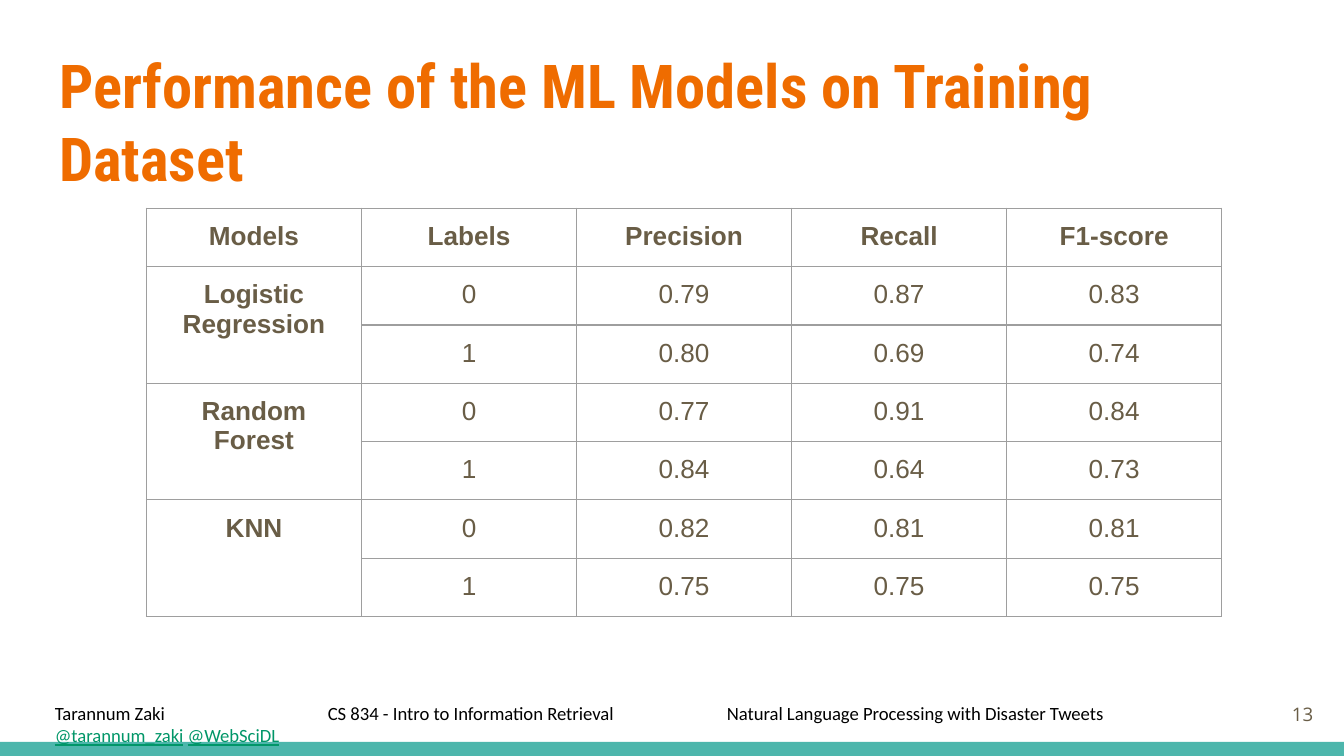
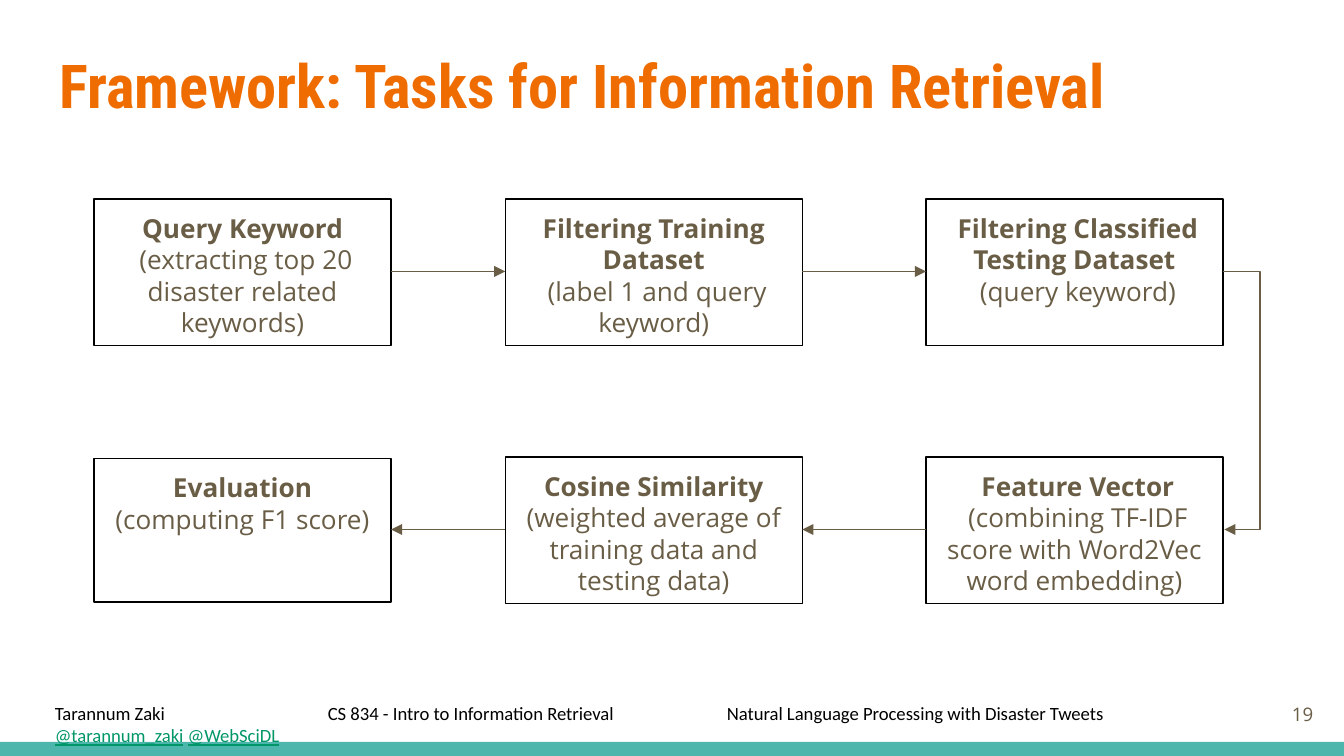
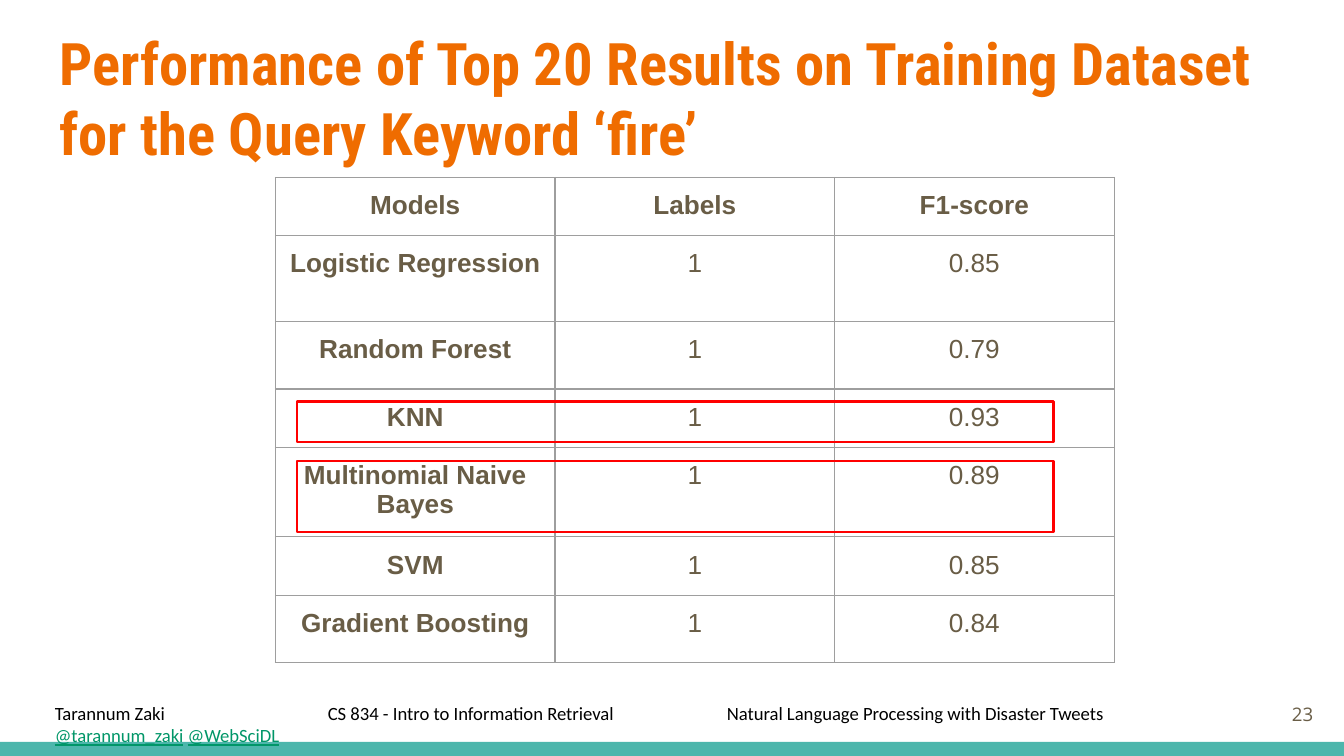
from dataclasses import dataclass

from lxml import etree
from pptx import Presentation
from pptx import util as u
from pptx.dml import color
from pptx.enum import shapes, text
from pptx.oxml import ns

HUES = {
    "band": "4DB6AC",
    "title": "EF6C00",
    "body": "695D46",
    "foot": "000000",
    "link": "009668",
    "grid": "9E9E9E",
    "mark": "FF0000",
}
LEAD = 1.2
FRAME = {
    "word_wrap": True,
    "auto_size": text.MSO_AUTO_SIZE.NONE,
    "vertical_anchor": text.MSO_ANCHOR.TOP,
    "margin_left": u.Inches(0.1),
    "margin_right": u.Inches(0.1),
    "margin_top": u.Inches(0.1),
    "margin_bottom": u.Inches(0.1),
}
CELL = {k: v for k, v in FRAME.items() if k.startswith("margin")}
LEFT, MID, RIGHT = text.PP_ALIGN.LEFT, text.PP_ALIGN.CENTER, text.PP_ALIGN.RIGHT


@dataclass(frozen=True)
class Area:
    x: float
    y: float
    w: float
    h: float

    def sides(self) -> list:
        return [u.Inches(v) for v in (self.x, self.y, self.w, self.h)]


@dataclass(frozen=True)
class Style:
    face: str
    size: float
    hue: str
    bold: bool = False
    line: bool = False


@dataclass(frozen=True)
class Step:
    col: int
    y: float
    h: float
    head: str
    gap: str
    note: str


@dataclass(frozen=True)
class Arrow:
    x: float
    y: float
    to_x: float
    to_y: float


HEAD = Style("Arial", 14, "body", True)
DATA = Style("Arial", 14, "body")
NAME = Style("Open Sans", 14, "body", True)
NOTE = Style("Open Sans", 14, "body")
PAGE = Style("Open Sans", 10, "body")
FOOT = Style("Calibri", 10, "foot")
LINK = Style("Calibri", 10, "link", line=True)

SCORES = [
    ("Models", "Labels", "Precision", "Recall", "F1-score"),
    ("Logistic Regression", "0", "0.79", "0.87", "0.83"),
    ("", "1", "0.80", "0.69", "0.74"),
    ("Random Forest", "0", "0.77", "0.91", "0.84"),
    ("", "1", "0.84", "0.64", "0.73"),
    ("KNN", "0", "0.82", "0.81", "0.81"),
    ("", "1", "0.75", "0.75", "0.75"),
]
RANKS = [
    ("Models", "Labels", "F1-score"),
    ("Logistic Regression", "1", "0.85"),
    ("Random Forest", "1", "0.79"),
    ("KNN", "1", "0.93"),
    ("Multinomial Naive Bayes", "1", "0.89"),
    ("SVM", "1", "0.85"),
    ("Gradient Boosting", "1", "0.84"),
]
COLS = (0.7, 3.76, 6.89)
WIDE = 2.21
ROW_A, ROW_B = 2.02, 3.94
STEPS = [
    Step(0, 1.48, 1.09, "Query Keyword", " ", "(extracting top 20 disaster related keywords)"),
    Step(1, 1.48, 1.09, "Filtering Training Dataset", " ", "(label 1 and query keyword)"),
    Step(2, 1.48, 1.09, " Filtering Classified Testing Dataset", " ", "(query keyword)"),
    Step(2, 3.4, 1.09, " Feature Vector", " ",
         "(combining TF-IDF score with Word2Vec word embedding)"),
    Step(1, 3.4, 1.09, "Cosine Similarity", "",
         "(weighted average of training data and testing data)"),
    Step(0, 3.41, 1.07, "Evaluation", "", "(computing F1 score)"),
]


def tint(hue: str) -> color.RGBColor:
    return color.RGBColor.from_string(HUES[hue])


def apply(thing, form: dict) -> None:
    for key, value in form.items():
        setattr(thing, key, value)


def write(para, words: str, style: Style) -> None:
    run = para.add_run()
    run.text = words
    apply(run.font, {"name": style.face, "size": u.Pt(style.size),
                     "bold": style.bold, "underline": style.line})
    run.font.color.rgb = tint(style.hue)


def add_box(slide, area: Area, fill: str = "", line: str = "", width: float = 0.75):
    box = slide.shapes.add_shape(shapes.MSO_SHAPE.RECTANGLE, *area.sides())
    box.shadow.inherit = False
    if fill:
        box.fill.solid()
        box.fill.fore_color.rgb = tint(fill)
    else:
        box.fill.background()
    if line:
        box.line.color.rgb = tint(line)
        box.line.width = u.Pt(width)
    else:
        box.line.fill.background()
    return box


def add_text(slide, area: Area, form: dict):
    frame = slide.shapes.add_textbox(*area.sides()).text_frame
    apply(frame, FRAME | form)
    return frame.paragraphs[0]


def add_foot(slide, page: int) -> None:
    para = add_text(slide, Area(9.27, 5.1, 0.6, 0.43),
                    {"vertical_anchor": text.MSO_ANCHOR.MIDDLE})
    para.alignment = RIGHT
    write(para, str(page), PAGE)

    para = add_text(slide, Area(0.31, 5.12, 9.56, 0.37),
                    {"auto_size": text.MSO_AUTO_SIZE.SHAPE_TO_FIT_TEXT})
    tabs = etree.SubElement(para._p.get_or_add_pPr(), ns.qn("a:tabLst"))
    for inch in range(1, 10):
        etree.SubElement(tabs, ns.qn("a:tab"), pos=str(u.Inches(inch)), algn="l")
    write(para, "Tarannum Zaki\t\t CS 834 - Intro to Information Retrieval\t"
                "Natural Language Processing with Disaster Tweets\t\t", FOOT)
    write(para, "@tarannum_zaki", LINK)
    write(para, " ", FOOT)
    write(para, "@WebSciDL", LINK)


def add_slide(deck, title: str, page: int, top: float = 0.26, size: float = 32.4):
    slide = deck.slides.add_slide(deck.slide_layouts[5])
    add_box(slide, Area(0, 5.52, 10, 0.11), fill="band")
    head = slide.shapes.title
    sides = Area(0.34, top, 9.32, 0.77).sides()
    apply(head, dict(zip(("left", "top", "width", "height"), sides)))
    apply(head.text_frame, FRAME)
    para = head.text_frame.paragraphs[0]
    apply(para, {"alignment": LEFT, "line_spacing": u.Pt(size * LEAD)})
    write(para, title, Style("Roboto Condensed", size, "title", True))
    add_foot(slide, page)
    return slide


def edge(cell) -> None:
    props = cell._tc.get_or_add_tcPr()
    for spot, side in enumerate(("lnL", "lnR", "lnT", "lnB")):
        line = etree.Element(ns.qn(f"a:{side}"), w=str(u.Pt(0.75)))
        fill = etree.SubElement(line, ns.qn("a:solidFill"))
        etree.SubElement(fill, ns.qn("a:srgbClr"), val=HUES["grid"])
        props.insert(spot, line)


def add_grid(slide, x: float, y: float, width: float, highs: list, rows: list) -> None:
    count = len(rows[0])
    area = Area(x, y, width * count, sum(highs))
    grid = slide.shapes.add_table(len(rows), count, *area.sides()).table
    apply(grid, {"first_row": False, "horz_banding": False})
    for col in grid.columns:
        col.width = u.Inches(width)
    for r, row in enumerate(rows):
        grid.rows[r].height = u.Inches(highs[r])
        for c, words in enumerate(row):
            cell = grid.cell(r, c)
            apply(cell, CELL)
            cell.fill.background()
            edge(cell)
            if words:
                para = cell.text_frame.paragraphs[0]
                para.alignment = MID
                write(para, words, HEAD if r == 0 or c == 0 else DATA)
            else:
                grid.cell(r - 1, c).merge(cell)


def add_step(slide, step: Step) -> None:
    box = add_box(slide, Area(COLS[step.col], step.y, WIDE, step.h), line="foot")
    frame = box.text_frame
    apply(frame, FRAME)
    paras = [frame.paragraphs[0], frame.add_paragraph()]
    for para in paras:
        apply(para, {"alignment": MID, "line_spacing": u.Pt(NOTE.size * LEAD)})
    write(paras[0], step.head, NAME)
    if step.gap:
        write(paras[1], step.gap, NAME)
    write(paras[1], step.note, NOTE)


def add_arrow(slide, arrow: Arrow, bend: float = 0) -> None:
    kind = shapes.MSO_CONNECTOR.ELBOW if bend else shapes.MSO_CONNECTOR.STRAIGHT
    ends = [u.Inches(v) for v in (arrow.x, arrow.y, arrow.to_x, arrow.to_y)]
    link = slide.shapes.add_connector(kind, *ends)
    link.line.color.rgb = tint("body")
    link.line.width = u.Pt(0.75)
    etree.SubElement(link.line._get_or_add_ln(), ns.qn("a:tailEnd"), type="triangle")
    props = link._element.spPr
    etree.SubElement(props, ns.qn("a:effectLst"))
    if bend:
        ratio = round(bend / (arrow.to_x - arrow.x) * 100000)
        shape = props.find(ns.qn("a:prstGeom"))
        guides = shape.find(ns.qn("a:avLst"))
        if guides is None:
            guides = etree.SubElement(shape, ns.qn("a:avLst"))
        etree.SubElement(guides, ns.qn("a:gd"), name="adj1", fmla=f"val {ratio}")


def add_flow(slide) -> None:
    for step in STEPS:
        add_step(slide, step)
    for near, far in zip(COLS, COLS[1:]):
        add_arrow(slide, Arrow(near + WIDE, ROW_A, far, ROW_A))
        add_arrow(slide, Arrow(far, ROW_B, near + WIDE, ROW_B))
    side = COLS[-1] + WIDE
    add_arrow(slide, Arrow(side, ROW_A, side + 0.01, ROW_B), bend=0.28)


def main() -> None:
    deck = Presentation()
    wide = u.Inches(10)
    apply(deck, {"slide_width": wide, "slide_height": wide * 9 // 16})

    slide = add_slide(deck, "Performance of the ML Models on Training Dataset", 13)
    add_grid(slide, 1.09, 1.55, 1.6, [0.42] * len(SCORES), SCORES)

    add_flow(add_slide(deck, "Framework: Tasks for Information Retrieval", 19))

    slide = add_slide(deck, "Performance of Top 20 Results on Training Dataset "
                            "for the Query Keyword ‘fire’", 23, 0.1, 31.4)
    add_grid(slide, 2.05, 1.32, 2.08, [0.41, 0.64, 0.5, 0.41, 0.64, 0.41, 0.5], RANKS)
    for top, high in ((2.99, 0.3), (3.43, 0.53)):
        add_box(slide, Area(2.21, top, 5.63, high), line="mark", width=1.5)

    deck.save("out.pptx")


if __name__ == "__main__":
    main()
